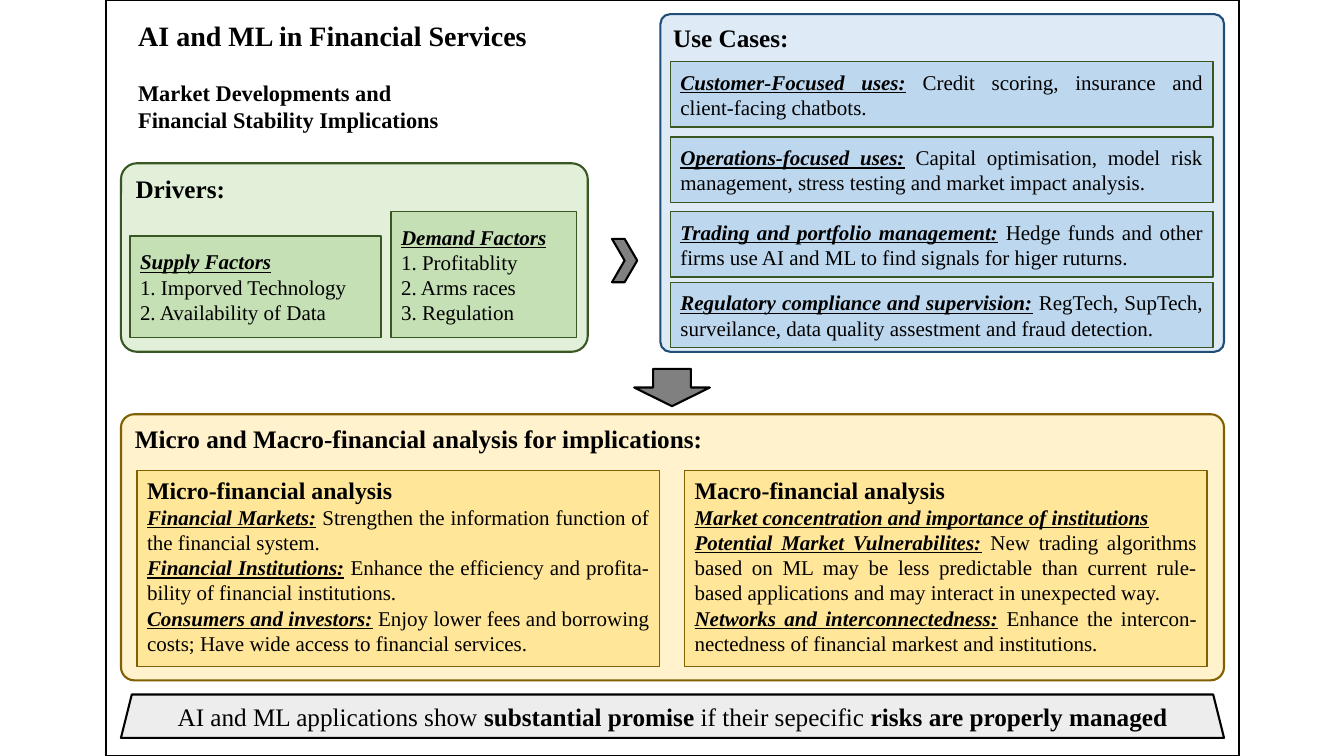
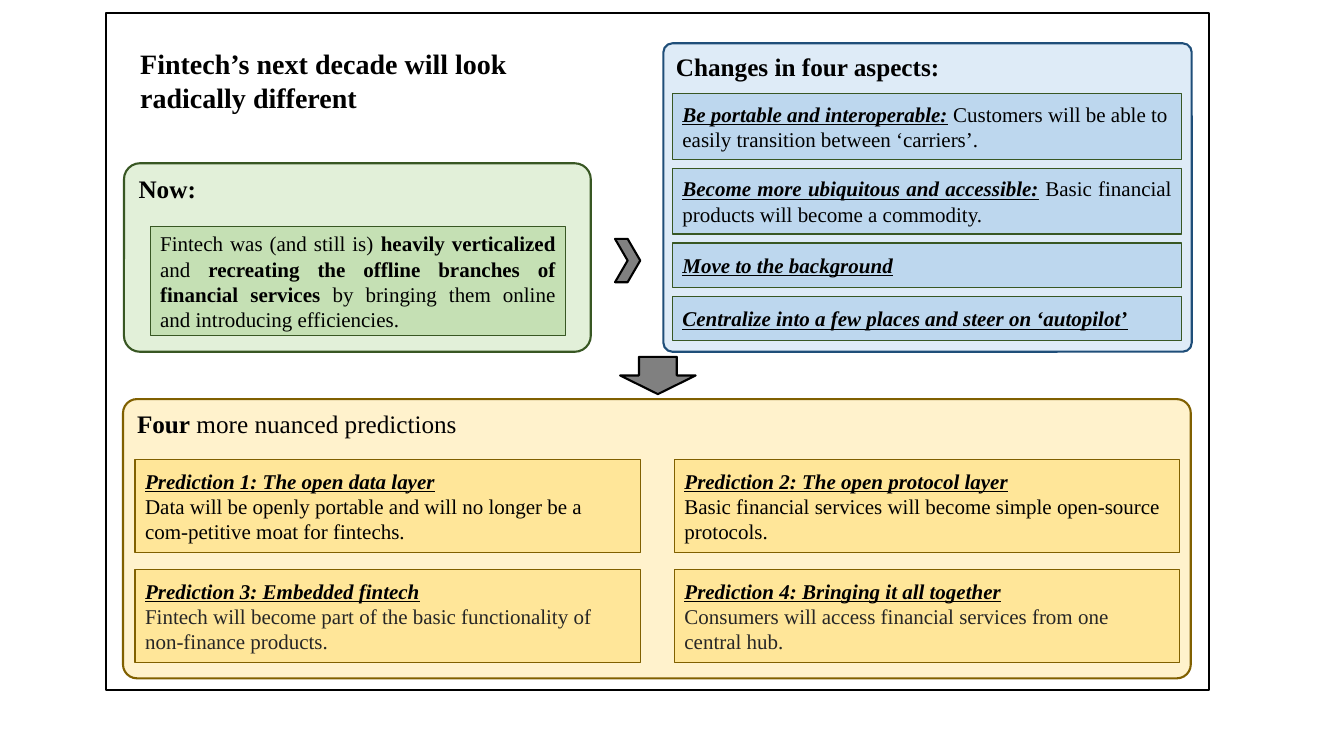
"""Builds two summary slides on AI and fintech in financial services."""
from dataclasses import dataclass
from typing import Any, NamedTuple, Optional

from pptx import Presentation
from pptx import dml, slide as sl, util as u
from pptx.dml import color as dc
from pptx.enum import shapes as sh, text as tx
from pptx.text import text as pt

KIND = sh.MSO_SHAPE
ANCHOR = tx.MSO_ANCHOR
ALIGN = tx.PP_ALIGN


class Look(NamedTuple):
    """Outline, fill and anchoring shared by boxes of one sort."""
    kind: sh.MSO_SHAPE
    fill: Optional[str]
    line: str
    weight: float = 1
    anchor: tx.MSO_ANCHOR = ANCHOR.MIDDLE
    corner: Optional[float] = None


@dataclass(frozen=True)
class Theme:
    """Colours, type sizes and box looks of the deck."""
    font: str = "Times New Roman"
    ink: str = "000000"
    soft_ink: str = "262626"
    title: int = 20
    heading: int = 18
    subheading: int = 17
    subtitle: int = 16
    body: int = 15
    frame: Look = Look(KIND.RECTANGLE, None, "000000", 1.5)
    green_panel: Look = Look(KIND.ROUNDED_RECTANGLE, "E2F0D9", "385723", 1.5, ANCHOR.TOP, 0.085)
    blue_panel: Look = Look(KIND.ROUNDED_RECTANGLE, "DEEBF7", "1F4E79", 1.5, ANCHOR.TOP, 0.029)
    gold_panel: Look = Look(KIND.ROUNDED_RECTANGLE, "FFF2CC", "806000", 1.5, ANCHOR.TOP, 0.05)
    green_card: Look = Look(KIND.RECTANGLE, "C5E0B4", "385723")
    blue_card: Look = Look(KIND.RECTANGLE, "BDD7EE", "385723")
    gold_card: Look = Look(KIND.RECTANGLE, "FFE699", "806000")
    gold_column: Look = Look(KIND.RECTANGLE, "FFE699", "806000", anchor=ANCHOR.TOP)
    chevron: Look = Look(KIND.CHEVRON, "808080", "000000", 1.5)
    down_arrow: Look = Look(KIND.DOWN_ARROW, "808080", "000000", 1.5)
    banner: Look = Look(KIND.TRAPEZOID, "EDEDED", "000000", 1.5)


THEME = Theme()


class Span(NamedTuple):
    """A stretch of text in one style; a key is bold, italic and underlined."""
    words: str
    bold: bool = False
    key: bool = False
    color: str = THEME.ink


class Line(NamedTuple):
    """One paragraph of spans."""
    spans: tuple[Span, ...]
    size: int = THEME.body
    align: tx.PP_ALIGN = ALIGN.LEFT


class Area(NamedTuple):
    """Position and size in inches."""
    left: float
    top: float
    width: float
    height: float


def heading(words: str, size: int = THEME.heading) -> Line:
    """Return a bold line."""
    return Line((Span(words, bold=True),), size)


def entry(key: str, words: str = "", align: tx.PP_ALIGN = ALIGN.JUSTIFY) -> Line:
    """Return a line that opens with a key phrase."""
    spans = (Span(key, key=True), Span(" " + words)) if words else (Span(key, key=True),)
    return Line(spans, align=align)


def listing(key: str, *items: str, color: str = THEME.ink) -> list[Line]:
    """Return a key line followed by plain lines."""
    return [entry(key, align=ALIGN.LEFT), *(Line((Span(item, color=color),)) for item in items)]


def write(frame: pt.TextFrame, lines: list[Line], anchor: tx.MSO_ANCHOR) -> None:
    """Fill a text frame run by run."""
    frame.word_wrap = True
    frame.auto_size = tx.MSO_AUTO_SIZE.NONE
    frame.vertical_anchor = anchor
    for index, line in enumerate(lines):
        para = frame.add_paragraph() if index else frame.paragraphs[0]
        para.alignment = line.align
        para.space_before = u.Pt(0)
        for span in line.spans:
            run = para.add_run()
            run.text = span.words
            font = run.font
            font.name, font.size = THEME.font, u.Pt(line.size)
            font.bold = span.bold or span.key
            font.italic = font.underline = span.key
            font.color.rgb = dc.RGBColor.from_string(span.color)


def draw(page: sl.Slide, look: Look, area: Area, *lines: Line) -> None:
    """Draw a box in the given look with its text."""
    box = page.shapes.add_shape(look.kind, *map(u.Inches, area))
    box.shadow.inherit = False
    if look.fill:
        box.fill.solid()
        box.fill.fore_color.rgb = dc.RGBColor.from_string(look.fill)
    else:
        box.fill.background()
    box.line.color.rgb = dc.RGBColor.from_string(look.line)
    box.line.width = u.Pt(look.weight)
    if look.corner is not None:
        box.adjustments[0] = look.corner
    if lines:
        write(box.text_frame, list(lines), look.anchor)


def place(holder: Any, area: Area, *lines: Line) -> None:
    """Move a placeholder and fill it."""
    holder.left, holder.top, holder.width, holder.height = map(u.Inches, area)
    write(holder.text_frame, list(lines), ANCHOR.MIDDLE)


def draw_arrows(page: sl.Slide, chevron_left: float, down_left: float, down_top: float) -> None:
    """Draw the chevron and the down arrow between the panels."""
    draw(page, THEME.chevron, Area(chevron_left, 2.37, 0.25, 0.43))
    draw(page, THEME.down_arrow, Area(down_left, down_top, 0.75, 0.37))


def build_services(page: sl.Slide) -> None:
    """Build the slide on AI and ML in financial services."""
    place(page.shapes.title, Area(1.27, 0.15, 4.2, 0.4),
          heading("AI and ML in Financial Services", THEME.title))
    place(page.placeholders[1], Area(1.27, 0.75, 4.2, 0.6),
          heading("Market Developments and", THEME.subtitle),
          heading("Financial Stability Implications", THEME.subtitle))
    draw(page, THEME.frame, Area(1.05, 0, 11.24, 7.5))

    draw(page, THEME.green_panel, Area(1.2, 1.62, 4.63, 1.87), heading("Drivers:"))
    draw(page, THEME.green_card, Area(1.29, 2.34, 2.49, 1.01),
         *listing("Supply Factors", "1. Imporved Technology", "2. Availability of Data"))
    draw(page, THEME.green_card, Area(3.88, 2.1, 1.84, 1.25),
         *listing("Demand Factors", "1. Profitablity", "2. Arms races", "3. Regulation"))

    draw(page, THEME.blue_panel, Area(6.55, 0.14, 5.59, 3.35), heading("Use Cases:"))
    uses = (
        (0.61, "Customer-Focused uses:",
         "Credit scoring, insurance and client-facing chatbots."),
        (1.36, "Operations-focused uses:",
         "Capital optimisation, model risk management, stress testing and market impact analysis."),
        (2.1, "Trading and portfolio management:",
         "Hedge funds and other firms use AI and ML to find signals for higer ruturns."),
        (2.8, "Regulatory compliance and supervision:",
         "RegTech, SupTech, surveilance, data quality assestment and fraud detection."),
    )
    for top, key, words in uses:
        draw(page, THEME.blue_card, Area(6.65, top, 5.38, 0.65), entry(key, words))
    draw_arrows(page, 6.07, 6.29, 3.66)

    draw(page, THEME.gold_panel, Area(1.2, 4.11, 10.94, 2.64),
         heading("Micro and Macro-financial analysis for implications:"))
    columns = (
        (heading("Micro-financial analysis", THEME.subheading),
         entry("Financial Markets:",
               "Strengthen the information function of the financial system."),
         entry("Financial Institutions:",
               "Enhance the efficiency and profita-bility of financial institutions."),
         entry("Consumers and investors:",
               "Enjoy lower fees and borrowing costs; Have wide access to financial services.")),
        (heading("Macro-financial analysis", THEME.subheading),
         entry("Market concentration and importance of institutions"),
         entry("Potential Market Vulnerabilites:",
               "New trading algorithms based on ML may be less predictable than current "
               "rule-based applications and may interact in unexpected way."),
         entry("Networks and interconnectedness:",
               "Enhance the intercon-nectedness of financial markest and institutions.")),
    )
    for index, lines in enumerate(columns):
        draw(page, THEME.gold_column, Area(1.36 + 5.43 * index, 4.67, 5.18, 1.94), *lines)

    draw(page, THEME.banner, Area(1.2, 6.89, 10.94, 0.43), Line((
        Span("AI and ML applications show "), Span("substantial promise ", bold=True),
        Span("if their sepecific "), Span("risks are properly managed", bold=True),
    ), THEME.heading, ALIGN.CENTER))


def build_fintech(page: sl.Slide) -> None:
    """Build the slide on the next decade of fintech."""
    place(page.shapes.title, Area(1.29, 0.42, 4.15, 0.75),
          heading("Fintech’s next decade will look radically different", THEME.title))
    draw(page, THEME.frame, Area(1.05, 0.13, 10.94, 6.72))

    draw(page, THEME.green_panel, Area(1.23, 1.62, 4.63, 1.87), heading("Now:"))
    draw(page, THEME.green_card, Area(1.49, 2.25, 4.12, 1.08), Line((
        Span("Fintech was (and still is) "), Span("heavily verticalized ", bold=True),
        Span("and "), Span("recreating the offline branches of financial services", bold=True),
        Span(" by bringing them online and introducing efficiencies."),
    ), align=ALIGN.JUSTIFY))

    draw(page, THEME.blue_panel, Area(6.58, 0.43, 5.24, 3.06), heading("Changes in four aspects:"))
    changes = (
        (0.65, entry("Be portable and interoperable:",
                     "Customers will be able to easily transition between ‘carriers’.", ALIGN.LEFT)),
        (0.65, entry("Become more ubiquitous and accessible:",
                     "Basic financial products will become a commodity.")),
        (0.44, entry("Move to the background")),
        (0.44, entry("Centralize into a few places and steer on ‘autopilot’")),
    )
    top, gap = 0.93, 0.09
    for height, line in changes:
        draw(page, THEME.blue_card, Area(6.67, top, 5.05, height), line)
        top += height + gap
    draw_arrows(page, 6.1, 6.15, 3.54)

    draw(page, THEME.gold_panel, Area(1.22, 3.96, 10.59, 2.77),
         Line((Span("Four", bold=True), Span(" more nuanced predictions")), THEME.heading))
    predictions = (
        ("Prediction 1: The open data layer",
         "Data will be openly portable and will no longer be a com-petitive moat for fintechs."),
        ("Prediction 2: The open protocol layer",
         "Basic financial services will become simple open-source protocols."),
        ("Prediction 3: Embedded fintech",
         "Fintech will become part of the basic functionality of non-finance products."),
        ("Prediction 4: Bringing it all together",
         "Consumers will access financial services from one central hub."),
    )
    for index, (key, words) in enumerate(predictions):
        row, column = divmod(index, 2)
        draw(page, THEME.gold_card, Area(1.34 + 5.35 * column, 4.56 + 1.09 * row, 5.01, 0.92),
             *listing(key, words, color=THEME.soft_ink if row else THEME.ink))


def main() -> None:
    """Build and save the deck."""
    deck = Presentation()
    deck.slide_width, deck.slide_height = u.Inches(13.33), u.Inches(7.5)
    title_and_subtitle, title_only = deck.slide_layouts[0], deck.slide_layouts[5]
    build_services(deck.slides.add_slide(title_and_subtitle))
    build_fintech(deck.slides.add_slide(title_only))
    deck.save("out.pptx")


if __name__ == "__main__":
    main()
